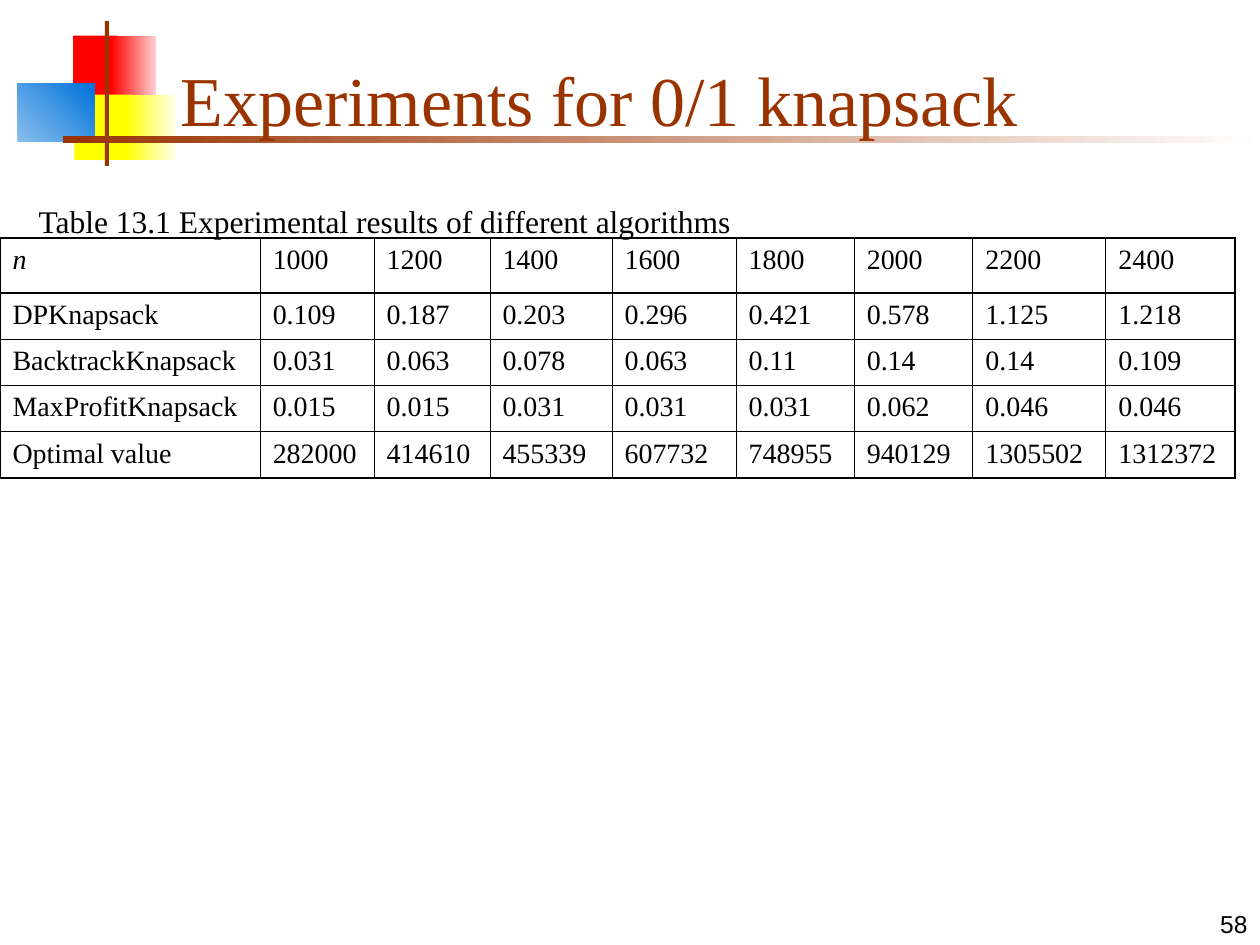
from lxml import etree
from pptx import Presentation
from pptx.dml.color import RGBColor
from pptx.enum.shapes import MSO_SHAPE
from pptx.enum.text import MSO_ANCHOR, MSO_AUTO_SIZE, PP_ALIGN
from pptx.oxml.ns import qn
from pptx.util import Pt

RECTANGLE = MSO_SHAPE.RECTANGLE
BOTTOM, MIDDLE = MSO_ANCHOR.BOTTOM, MSO_ANCHOR.MIDDLE
LEFT, RIGHT = PP_ALIGN.LEFT, PP_ALIGN.RIGHT
FIT_SHAPE, NO_FIT = MSO_AUTO_SIZE.SHAPE_TO_FIT_TEXT, MSO_AUTO_SIZE.NONE

COLORS = {
    "text": "000000", "rust": "993300", "white": "FFFFFF",
    "red": "FF0000", "pink": "FFD1D1",
    "yellow": "FFFF00", "ivory": "FFFFF0",
    "sky": "8BBFEE", "blue": "0073D9",
}
SERIF, SANS = "Times New Roman", "Arial"
THIN, THICK = 0.45, 0.96

# Left, top, width, height, colours (two make a gradient), gradient angle
ORNAMENTS = [
    (41.76, 20.3, 25.2, 37.4, ["red"], 0),
    (63.36, 20.3, 25.9, 37.4, ["red", "pink"], 0),
    (42.5, 54, 33.1, 37.4, ["yellow"], 0),
    (72, 54, 28.8, 37.4, ["yellow", "ivory"], 0),
    (10, 48, 44, 33.1, ["sky", "blue"], 45),
    (59.9, 12, 2.3, 82.8, ["rust"], 0),
    (36, 77.8, 684, 3.8, ["rust", "white"], 0),
]
RESULTS = [
    ["n", "1000", "1200", "1400", "1600", "1800", "2000", "2200", "2400"],
    ["DPKnapsack", "0.109", "0.187", "0.203", "0.296", "0.421", "0.578", "1.125", "1.218"],
    ["BacktrackKnapsack", "0.031", "0.063", "0.078", "0.063", "0.11", "0.14", "0.14", "0.109"],
    ["MaxProfitKnapsack", "0.015", "0.015", "0.031", "0.031", "0.031", "0.062", "0.046", "0.046"],
    ["Optimal value", "282000", "414610", "455339", "607732", "748955", "940129", "1305502",
     "1312372"],
]
COLUMN_WIDTHS = [148.7, 65.1, 66.2, 69.8, 70.9, 67.5, 67.8, 76, 73.8]
ROW_HEIGHTS = [31.4] + [26.35] * 4


def rgb(name):
    return RGBColor.from_string(COLORS[name])


def set_all(target, **values):
    for name, value in values.items():
        setattr(target, name, value)


class SlideBuilder:
    """Holds the current slide and draws each kind of element on it."""

    def __init__(self, slide):
        self.slide = slide

    def add_span(self, frame, text, size, color="text", font=SERIF, align=LEFT, italic=False):
        para = frame.paragraphs[0]
        para.alignment = align
        span = para.add_run()
        span.text = text
        set_all(span.font, name=font, size=Pt(size), italic=italic, bold=False)
        span.font.color.rgb = rgb(color)

    def ornament(self, left, top, width, height, colors, angle):
        box = self.slide.shapes.add_shape(RECTANGLE, Pt(left), Pt(top), Pt(width), Pt(height))
        box.shadow.inherit = False
        box.line.fill.background()
        if len(colors) == 1:
            box.fill.solid()
            box.fill.fore_color.rgb = rgb(colors[0])
        else:
            box.fill.gradient()
            box.fill.gradient_angle = angle
            for stop, color in zip(box.fill.gradient_stops, colors):
                stop.color.rgb = rgb(color)

    def title(self, text, left, top, width, height):
        box = self.slide.shapes.title
        set_all(box, left=Pt(left), top=Pt(top), width=Pt(width), height=Pt(height))
        set_all(box.text_frame, vertical_anchor=BOTTOM, word_wrap=True, auto_size=NO_FIT)
        self.add_span(box.text_frame, text, 40, "rust")
        # Bring the title in front of the ornaments
        box.element.getparent().append(box.element)

    def text(self, text, left, top, width, height, size, anchor,
             wrap=True, fit=NO_FIT, **style):
        box = self.slide.shapes.add_textbox(Pt(left), Pt(top), Pt(width), Pt(height))
        set_all(box.text_frame, vertical_anchor=anchor, word_wrap=wrap, auto_size=fit)
        self.add_span(box.text_frame, text, size, **style)

    def border(self, cell, side, width):
        properties = cell._tc.get_or_add_tcPr()
        line = etree.SubElement(properties, qn(f"a:ln{side}"), w=str(int(Pt(width))))
        fill = etree.SubElement(line, qn("a:solidFill"))
        etree.SubElement(fill, qn("a:srgbClr"), val=COLORS["text"])

    def table(self, rows, left, top, widths, heights):
        table = self.slide.shapes.add_table(
            len(rows), len(widths), Pt(left), Pt(top), Pt(sum(widths)), Pt(sum(heights))).table
        set_all(table, first_row=False, horz_banding=False)
        for column, width in zip(table.columns, widths):
            column.width = Pt(width)
        for row, height in zip(table.rows, heights):
            row.height = Pt(height)
        last_row, last_column = len(rows) - 1, len(widths) - 1
        for r, values in enumerate(rows):
            for c, value in enumerate(values):
                cell = table.cell(r, c)
                self.add_span(cell.text_frame, value, 16, italic=(r == c == 0))
                # Thick frame and header rule, thin lines elsewhere
                thick = {"L": c == 0, "R": c == last_column,
                         "T": r <= 1, "B": r in (0, last_row)}
                for side, is_thick in thick.items():
                    self.border(cell, side, THICK if is_thick else THIN)
                cell.fill.background()


def main():
    deck = Presentation()
    set_all(deck, slide_width=Pt(720), slide_height=Pt(540))
    page = SlideBuilder(deck.slides.add_slide(deck.slide_layouts[5]))

    # Corner ornament and title rule
    for ornament in ORNAMENTS:
        page.ornament(*ornament)

    # Slide number, title and caption
    page.text("58", 570, 504, 150, 36, 14, BOTTOM, font=SANS, align=RIGHT)
    page.title("Experiments for 0/1 knapsack", 96, 18, 613.5, 66)
    page.text("Table 13.1 Experimental results of different algorithms",
              15, 111.9, 411.8, 28.8, 18, MIDDLE, wrap=False, fit=FIT_SHAPE)

    # Results table
    page.table(RESULTS, 0, 136.1, COLUMN_WIDTHS, ROW_HEIGHTS)

    deck.save("out.pptx")


if __name__ == "__main__":
    main()
